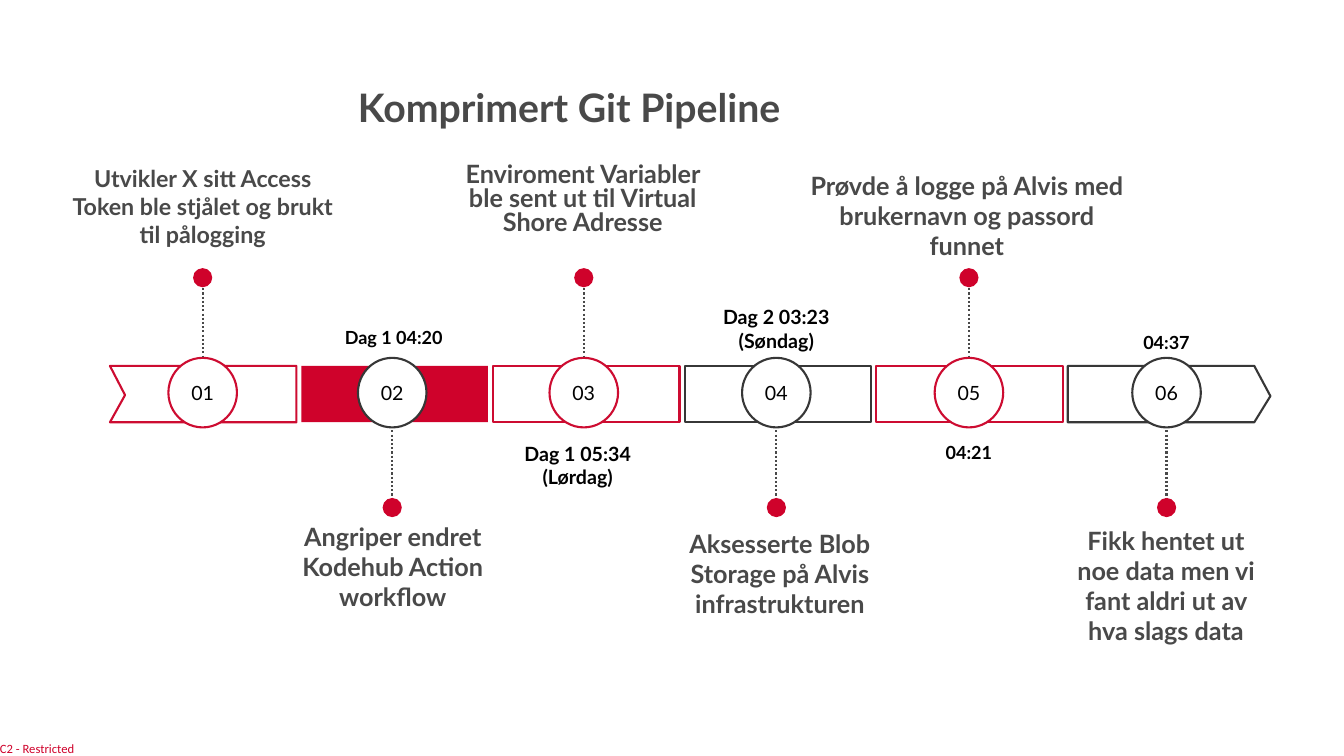
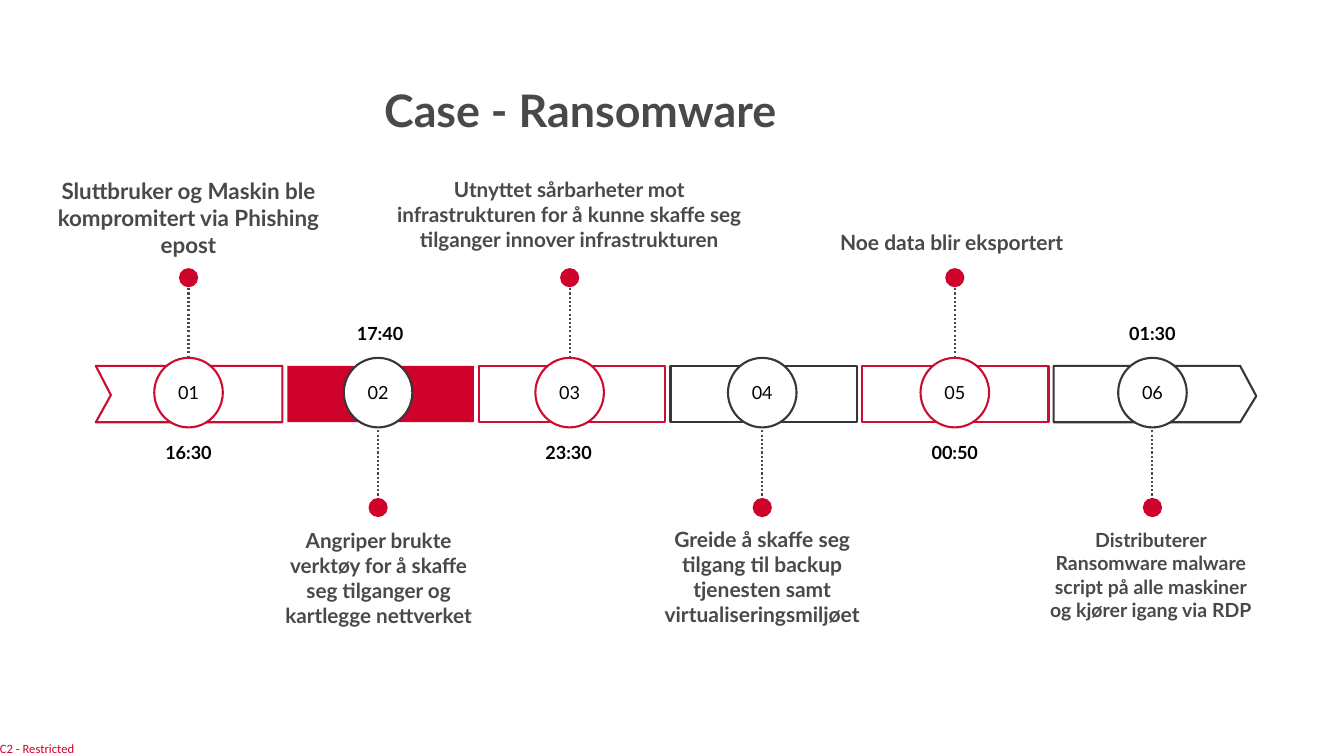
"""Build two incident timelines that share one six-step band, title style and footer."""
from dataclasses import dataclass

from lxml.etree import SubElement
from pptx import Presentation
from pptx.dml.color import RGBColor
from pptx.enum.dml import MSO_LINE
from pptx.enum.shapes import MSO_CONNECTOR, MSO_SHAPE
from pptx.enum.text import MSO_ANCHOR, MSO_AUTO_SIZE, PP_ALIGN
from pptx.oxml.ns import qn
from pptx.presentation import Presentation as Deck
from pptx.shapes.autoshape import Shape
from pptx.slide import Slide
from pptx.text.text import TextFrame
from pptx.util import Inches, Pt

RED, EDGE, DARK, GREY = "CF022B", "CD0C31", "373737", "494949"
BLACK, WHITE = "000000", "FFFFFF"
FONT = "Lato"
BAND_TOP, BAND_BOTTOM, BAND_W, PITCH = 3.63, 4.19, 1.85, 1.9
CIRCLE_TOP, CIRCLE_W, CIRCLE_H, DOT = 3.55, 0.68, 0.69, 0.19
CENTRES = (0.92, 2.8, 4.7, 6.61, 8.52, 10.48)


@dataclass
class Label:
    text: str
    x: float
    y: float
    w: float
    h: float
    size: float
    color: str = GREY
    spacing: float = 1.0


@dataclass
class Timeline:
    title: str
    title_x: float
    title_size: float
    left: float
    number_size: float
    labels: list[Label]


def date(text: str, x: float, y: float, w: float = 1.04, h: float = 0.31,
         size: float = 12.9) -> Label:
    return Label(text, x, y, w, h, size, BLACK)


TIMELINES = [
    Timeline("Komprimert Git Pipeline", 3.45, 28, 1.09, 14, [
        Label("Utvikler X sitt Access Token ble stjålet og brukt til pålogging",
              0.61, 1.58, 2.8, 1.07, 16.6),
        Label("Angriper endret Kodehub Action workflow", 2.79, 5.12, 2.21, 1.11, 18),
        Label("Enviroment Variabler ble sent ut til Virtual Shore Adresse",
              4.37, 1.58, 2.82, 1.27, 18, spacing=0.8),
        Label("Aksesserte Blob Storage på Alvis infrastrukturen",
              6.57, 5.19, 2.33, 1.24, 18),
        Label("Prøvde å logge på Alvis med brukernavn og passord funnet",
              7.87, 1.64, 3.44, 1.02, 18),
        Label("Fikk hentet ut noe data men vi fant aldri ut av hva slags data",
              10.46, 5.16, 2.21, 1.51, 18),
        date("Dag 1 04:20", 3.18, 3.19, 1.45),
        date("Dag 1 05:34 (Lørdag)", 4.89, 4.33, 1.68, 0.61, 14),
        date("Dag 2 03:23 (Søndag)", 6.86, 2.98, 1.68, 0.61, 14),
        date("04:21", 9.09, 4.33),
        date("04:37", 11.05, 3.24),
    ]),
    Timeline("Case - Ransomware", 3.71, 32, 0.95, 12.9, [
        Label("Sluttbruker og Maskin ble kompromitert via Phishing epost",
              0.47, 1.71, 2.8, 1.13, 16),
        Label("Angriper brukte verktøy for å skaffe seg tilganger og kartlegge nettverket",
              2.65, 5.19, 2.21, 1.46, 14.8),
        Label("Utnyttet sårbarheter mot infrastrukturen for å kunne skaffe seg "
              "tilganger innover infrastrukturen", 3.79, 1.71, 3.71, 1.06, 14.8),
        Label("Greide å skaffe seg tilgang til backup tjenesten samt virtualiseringsmiljøet",
              6.27, 5.17, 2.58, 1.24, 15),
        Label("Noe data blir eksportert", 7.72, 2.23, 3.44, 0.74, 15),
        Label("Distributerer Ransomware malware script på alle maskiner "
              "og kjører igang via RDP", 10.31, 5.19, 2.21, 1.28, 13.9),
        date("16:30", 1.35, 4.33),
        date("17:40", 3.25, 3.15),
        date("23:30", 5.12, 4.33),
        date("00:50", 8.95, 4.33),
        date("01:30", 10.91, 3.15),
    ]),
]


def rgb(color: str) -> RGBColor:
    return RGBColor.from_string(color)


def write(tf: TextFrame, text: str, size: float, color: str, bold: bool = False,
          align: PP_ALIGN = PP_ALIGN.CENTER, spacing: float = 1.0, font: str = FONT) -> None:
    p = tf.paragraphs[0]
    p.alignment = align
    p.line_spacing = spacing
    r = p.add_run()
    r.text = text
    r.font.name, r.font.size, r.font.bold = font, Pt(size), bold
    r.font.color.rgb = rgb(color)


def paint(sp: Shape, fill: str, line: str | None = None) -> None:
    sp.shadow.inherit = False
    sp.fill.solid()
    sp.fill.fore_color.rgb = rgb(fill)
    if line:
        sp.line.color.rgb = rgb(line)
        sp.line.width = Pt(1.5)
    else:
        sp.line.fill.background()


def no_insets(tf: TextFrame) -> None:
    tf.margin_left = tf.margin_right = tf.margin_top = tf.margin_bottom = 0


def add_oval(s: Slide, cx: float, y: float, w: float, h: float) -> Shape:
    return s.shapes.add_shape(MSO_SHAPE.OVAL, Inches(cx - w / 2), Inches(y), Inches(w), Inches(h))


def add_outline(s: Slide, points: list[tuple[float, float]]) -> Shape:
    pts = [(Inches(x), Inches(y)) for x, y in points]
    builder = s.shapes.build_freeform(*pts[0])
    builder.add_line_segments(pts[1:], close=True)
    return builder.convert_to_shape()


def add_segment(s: Slide, i: int, x: float) -> None:
    right = x + BAND_W
    if i == 0:
        sp = add_outline(s, [(right, BAND_BOTTOM), (x, BAND_BOTTOM), (x + 0.15, 3.92),
                             (x, BAND_TOP), (right, BAND_TOP)])
    elif i == len(CENTRES) - 1:
        sp = add_outline(s, [(right, BAND_BOTTOM), (x, BAND_BOTTOM), (x, BAND_TOP),
                             (right, BAND_TOP), (right + 0.16, 3.93)])
    else:
        sp = s.shapes.add_shape(MSO_SHAPE.RECTANGLE, Inches(x), Inches(BAND_TOP),
                                Inches(BAND_W), Inches(BAND_BOTTOM - BAND_TOP))
    if i == 1:
        paint(sp, RED)
    else:
        paint(sp, WHITE, DARK if i % 2 else EDGE)


def add_step(s: Slide, i: int, cx: float, size: float) -> None:
    below = i % 2 == 1
    sp = add_oval(s, cx, CIRCLE_TOP, CIRCLE_W, CIRCLE_H)
    paint(sp, WHITE, DARK if below else EDGE)
    no_insets(sp.text_frame)
    sp.text_frame.vertical_anchor = MSO_ANCHOR.MIDDLE
    write(sp.text_frame, f"{i + 1:02d}", size, BLACK)

    start, end = (4.27, 4.94) if below else (2.86, 3.53)
    line = s.shapes.add_connector(MSO_CONNECTOR.STRAIGHT, Inches(cx), Inches(start),
                                  Inches(cx), Inches(end))
    line.line.color.rgb = rgb(GREY)
    line.line.width = Pt(1.5)
    line.line.dash_style = MSO_LINE.ROUND_DOT
    SubElement(line.element.spPr, qn("a:effectLst"))
    paint(add_oval(s, cx, 4.94 if below else 2.66, DOT, DOT), RED)


def add_label(s: Slide, label: Label) -> None:
    sp = s.shapes.add_textbox(Inches(label.x), Inches(label.y), Inches(label.w), Inches(label.h))
    sp.text_frame.word_wrap = True
    write(sp.text_frame, label.text, label.size, label.color, True, spacing=label.spacing)


def add_title(s: Slide, t: Timeline) -> None:
    sp = s.shapes.title
    sp.left, sp.top, sp.width, sp.height = (Inches(v) for v in (t.title_x, 0.83, 11.76, 0.6))
    tf = sp.text_frame
    tf.auto_size = MSO_AUTO_SIZE.NONE
    tf.vertical_anchor = MSO_ANCHOR.TOP
    write(tf, t.title, t.title_size, GREY, True, PP_ALIGN.LEFT, 0.9)


def add_footer(prs: Deck, s: Slide) -> None:
    sp = s.shapes.add_textbox(0, Inches(7.35), Inches(0.77), Inches(0.15))
    no_insets(sp.text_frame)
    sp.text_frame.word_wrap = False
    write(sp.text_frame, "C2 - Restricted", 9, RED, align=PP_ALIGN.LEFT, font="Calibri")
    prs.slide_master.shapes.element.append(sp.element)


def add_timeline(prs: Deck, t: Timeline) -> Slide:
    s = prs.slides.add_slide(prs.slide_layouts.get_by_name("Title Only"))
    add_title(s, t)
    for i in range(len(CENTRES)):
        add_segment(s, i, t.left + i * PITCH)
    for i, centre in enumerate(CENTRES):
        add_step(s, i, t.left + centre, t.number_size)
    for label in t.labels:
        add_label(s, label)
    return s


def main() -> None:
    prs = Presentation()
    prs.slide_width, prs.slide_height = Inches(13.33), Inches(7.5)
    slides = [add_timeline(prs, t) for t in TIMELINES]
    add_footer(prs, slides[0])
    prs.save("out.pptx")


if __name__ == "__main__":
    main()
